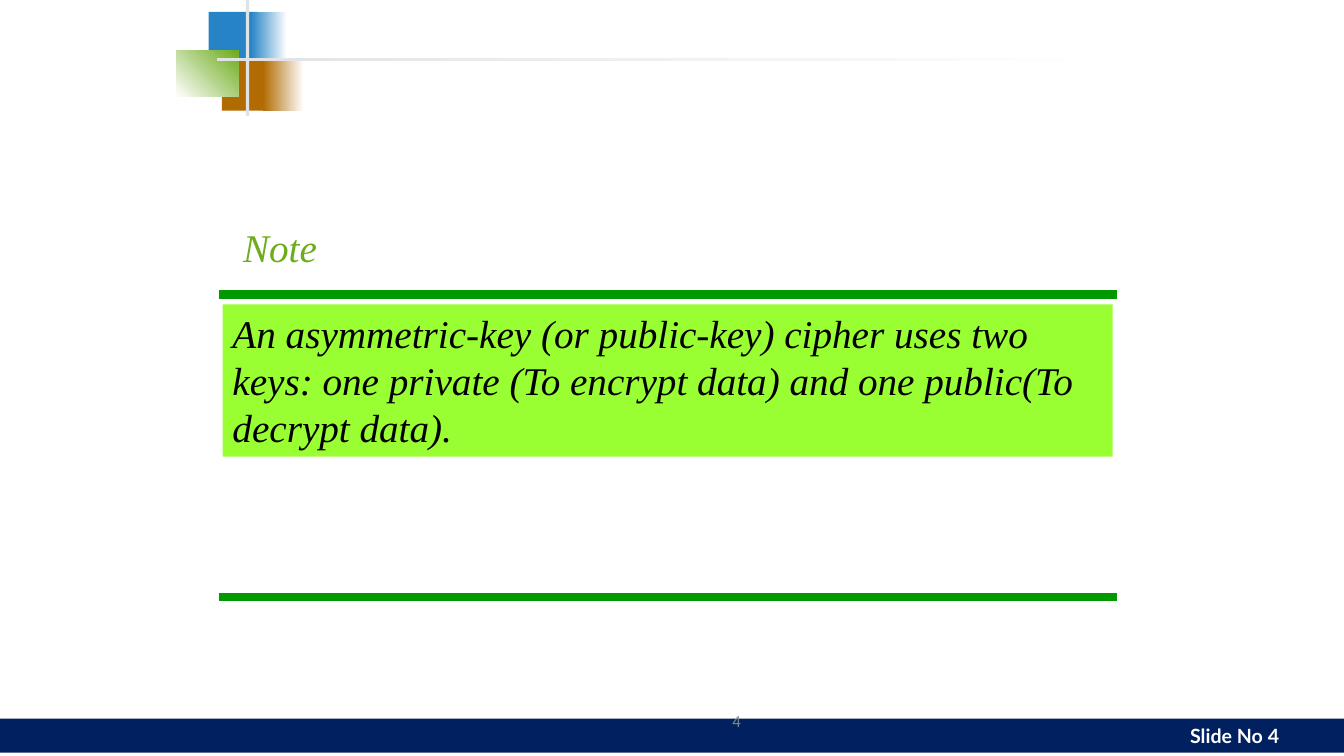
from pptx import Presentation
from pptx import util as u
from pptx.dml.color import RGBColor
from pptx.enum import shapes, text
from pptx.oxml.ns import qn
from lxml import etree

WIDE, HIGH = 33.87, 19.05
BLUE, BROWN, LEAF, GREY, WHITE = "2683C6", "B26B02", "6EAC1C", "DFE3E5", "FFFFFF"


def rgb(code):
    return RGBColor.from_string(code)


class Deck:
    serif = "Times New Roman"
    rule = "009900"

    def __init__(self, slide):
        self.slide = slide

    def block(self, x, y, w, h, fill, fade=None, turn=0):
        """Draw a rectangle, plain or fading from fill to fade."""
        box = self.slide.shapes.add_shape(
            shapes.MSO_SHAPE.RECTANGLE, u.Cm(x), u.Cm(y), u.Cm(w), u.Cm(h))
        box.shadow.inherit = False
        box.line.fill.background()
        if fade:
            box.fill.gradient()
            box.fill.gradient_angle = turn
            for stop, code in zip(box.fill.gradient_stops, (fill, fade)):
                stop.color.rgb = rgb(code)
        else:
            box.fill.solid()
            box.fill.fore_color.rgb = rgb(fill)
        return box

    def line(self, x, y, end):
        rule = self.slide.shapes.add_connector(
            shapes.MSO_CONNECTOR.STRAIGHT, u.Cm(x), u.Cm(y), u.Cm(end), u.Cm(y))
        rule.line.color.rgb = rgb(self.rule)
        rule.line.width = u.Pt(6)
        etree.SubElement(rule._element.spPr, qn("a:effectLst"))

    def label(self, x, y, w, h):
        return self.slide.shapes.add_textbox(u.Cm(x), u.Cm(y), u.Cm(w), u.Cm(h))

    def title(self, x, y, w, h):
        head = self.slide.shapes.title
        head.left, head.top, head.width, head.height = map(u.Cm, (x, y, w, h))
        return head

    def words(self, box, line, size, font, color, bold=False, italic=False,
              align=text.PP_ALIGN.LEFT, anchor=text.MSO_ANCHOR.TOP):
        """Put one styled run of text into a box."""
        frame = box.text_frame
        frame.word_wrap = True
        frame.auto_size = text.MSO_AUTO_SIZE.NONE
        frame.vertical_anchor = anchor
        para = frame.paragraphs[0]
        para.alignment = align
        para.line_spacing = 1.0
        para.space_before = u.Pt(0)
        run = para.add_run()
        run.text = line
        run.font.size = u.Pt(size)
        run.font.name = font
        run.font.bold = bold
        run.font.italic = italic
        run.font.color.rgb = rgb(color)


def main():
    show = Presentation()
    show.slide_width, show.slide_height = u.Cm(WIDE), u.Cm(HIGH)
    deck = Deck(show.slides.add_slide(show.slide_layouts[5]))
    middle = text.MSO_ANCHOR.MIDDLE

    band = deck.block(0, 18.11, WIDE, 0.86, "002060")
    band.text_frame.margin_right = u.Cm(1.63)
    deck.words(band, "Slide No 4", 14, "Lato", WHITE, bold=True,
               align=text.PP_ALIGN.RIGHT, anchor=middle)
    page = deck.label(18.21, 17.65, 5.92, 1.02)
    deck.words(page, "4", 12, "Calibri", "898989", anchor=middle)

    for x, y, w, tail, wide, color in ((5.26, 0.3, 1.22, 6.32, 0.91, BLUE),
                                       (5.59, 1.47, 1.17, 6.63, 1.02, BROWN)):
        deck.block(x, y, w, 1.32, color)
        deck.block(tail, y, wide, 1.32, color, WHITE)
    deck.block(4.45, 1.27, 1.55, 1.17, WHITE, LEAF, 45)
    deck.block(6.2, 0, 0.08, 2.92, GREY)
    deck.block(5.46, 1.47, 22.86, 0.08, GREY, WHITE)

    for y in (7.42, 15.04):
        deck.line(5.51, y, 28.15)
    note = deck.block(5.61, 7.67, 22.43, 3.84, "99FF33")
    deck.words(note, "An asymmetric-key (or public-key) cipher uses two keys: "
               "one private (To encrypt data) and one public(To decrypt data).",
               28, deck.serif, "000000", italic=True)
    head = deck.title(5.87, 5.51, 2.44, 1.45)
    deck.words(head, "Note", 28, deck.serif, LEAF, italic=True)

    show.save("out.pptx")


if __name__ == "__main__":
    main()
